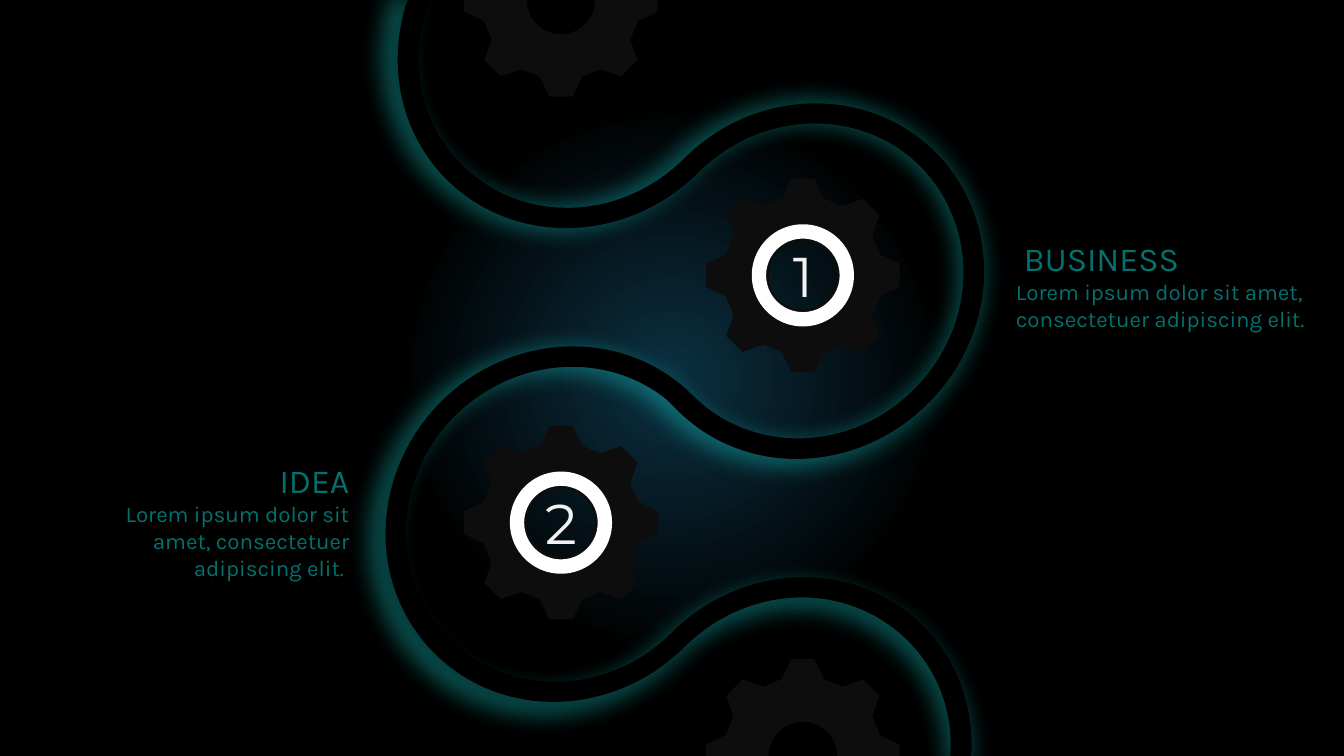
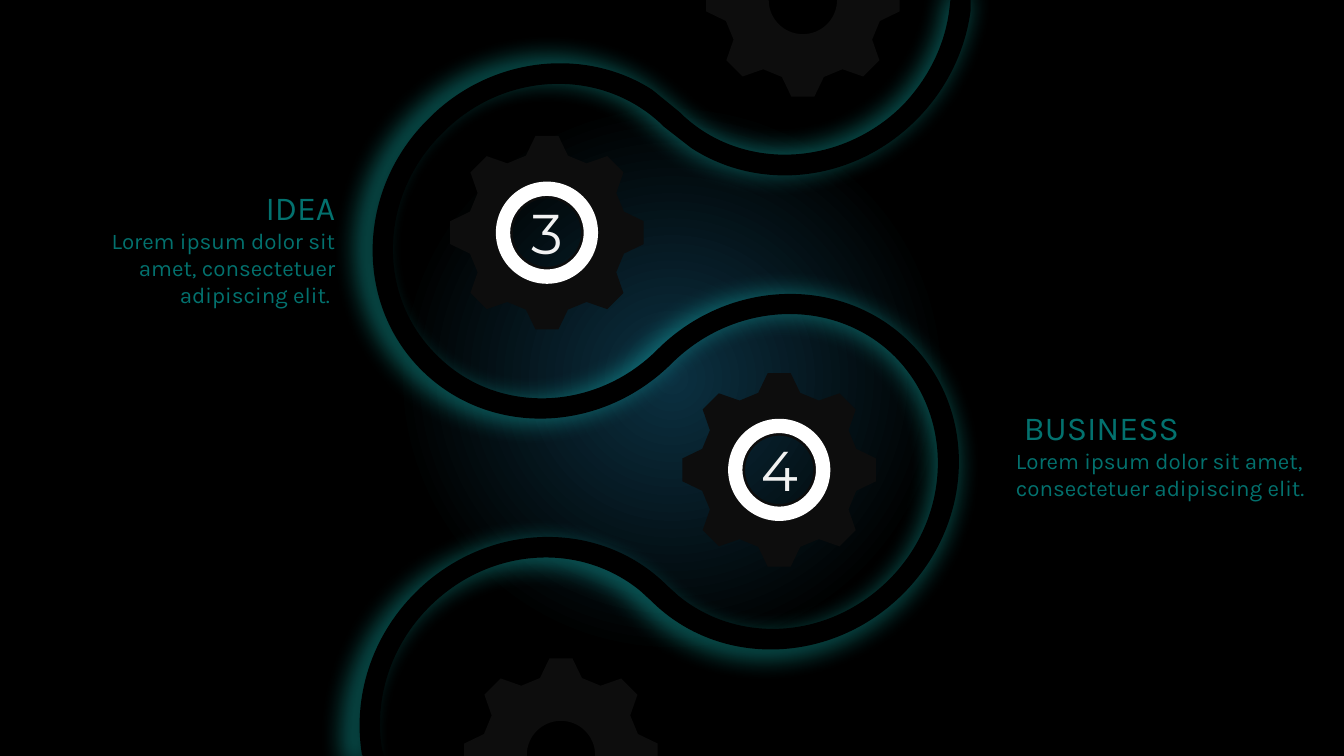
"""Build two dark slides with a glowing ribbon, gears and numbered steps."""
from math import cos, pi, sin

from lxml import etree
from pptx import Presentation
from pptx.dml.color import RGBColor
from pptx.enum import shapes, text
from pptx.oxml import ns
from pptx.util import Pt

COLOURS = {"glow": "1AFAF3", "deep": "0B3041", "dark": "000000", "gear": "0D0D0D",
           "ring": "FFFFFF", "number": "F2F2F2", "caption": "03716E"}
BODY = "Lorem ipsum dolor sit amet, consectetuer adipiscing elit."
GRID = 0.72
LEFT, RIGHT = 400.7, 573.5

RIBBON_DOWN = [
    (405, 0), (426, 0), (423, 10), (406, 63, 417, 123, 458, 163),
    (517, 223, 616, 220, 679, 157), (749, 87, 861, 84, 928, 151),
    (995, 218, 992, 329, 921, 400), (850, 471, 739, 474, 672, 407),
    (661, 396), (601, 348, 510, 354, 451, 413), (389, 475, 386, 574, 446, 633),
    (505, 693, 604, 690, 666, 628), (737, 557, 849, 554, 916, 621),
    (949, 654, 965, 699, 964, 744), (963, 750), (943, 750), (943, 745),
    (945, 705, 930, 665, 901, 636), (841, 576, 743, 579, 680, 641),
    (609, 712, 498, 715, 431, 648), (364, 581, 367, 470, 437, 399),
    (508, 328, 620, 325, 687, 392), (698, 402), (758, 451, 849, 445, 907, 386),
    (970, 323, 972, 225, 913, 165), (854, 106, 755, 109, 693, 171),
    (622, 242, 510, 245, 443, 178), (397, 132, 384, 65, 403, 4)]

RIBBON_UP = [
    (943, -1), (963, -1), (963, 10), (958, 49, 940, 88, 909, 119),
    (847, 181, 754, 191, 686, 147), (659, 126), (600, 67, 501, 69, 439, 132),
    (376, 194, 373, 293, 433, 352), (492, 412, 591, 409, 653, 346),
    (724, 276, 836, 273, 903, 340), (970, 407, 967, 518, 896, 589),
    (825, 660, 713, 663, 646, 596), (635, 586), (575, 537, 485, 543, 426, 602),
    (387, 641, 371, 694, 379, 743), (381, 750), (360, 750), (359, 748),
    (350, 692, 368, 632, 412, 588), (483, 517, 595, 514, 662, 581),
    (673, 591), (733, 640, 823, 634, 882, 575), (944, 513, 947, 414, 888, 354),
    (829, 295, 730, 298, 667, 360), (596, 431, 485, 434, 418, 367),
    (351, 300, 354, 188, 425, 118), (486, 56, 580, 46, 647, 89), (674, 111),
    (733, 170, 832, 167, 895, 105), (922, 77, 938, 43, 942, 8)]


def rotate(x, y, angle):
    """Rotate a point about the origin."""
    return x * cos(angle) - y * sin(angle), x * sin(angle) + y * cos(angle)


def change(contour, rule):
    """Apply a rule to every point of a contour."""
    return [sum((tuple(rule(*seg[i:i + 2])) for i in range(0, len(seg), 2)), ())
            for seg in contour]


def write(p, content, size=16, font="Karla", colour="caption", align="LEFT"):
    """Write one formatted run into a paragraph."""
    p.alignment = getattr(text.PP_ALIGN, align)
    r = p.add_run()
    r.text = content
    r.font.size, r.font.name = Pt(size), font
    r.font.color.rgb = RGBColor.from_string(COLOURS[colour])


class Deck:
    """Hold the shared style and the current slide."""

    def __init__(self):
        """Start a widescreen presentation."""
        self.prs = Presentation()
        self.prs.slide_width, self.prs.slide_height = Pt(960), Pt(540)

    def slide(self):
        """Add a slide with a round gradient background."""
        self.s = self.prs.slides.add_slide(self.prs.slide_layouts[6])
        fill = self.s.background.fill
        fill.gradient()
        for stop, position, colour in zip(fill.gradient_stops, (0, 0.36), ("deep", "dark")):
            stop.position = position
            stop.color.rgb = RGBColor.from_string(COLOURS[colour])
        grad = self.s.element.find(".//" + ns.qn("a:gradFill"))
        grad.remove(grad.find(ns.qn("a:lin")))
        circle = etree.SubElement(grad, ns.qn("a:path"), {"path": "circle"})
        etree.SubElement(circle, ns.qn("a:fillToRect"), dict.fromkeys("ltrb", "50000"))

    def paint(self, sp, colour):
        """Give a shape a plain fill without line or shadow."""
        sp.shadow.inherit = False
        sp.fill.solid()
        sp.fill.fore_color.rgb = RGBColor.from_string(COLOURS[colour])
        sp.line.fill.background()
        return sp

    def outline(self, contours, colour):
        """Draw closed contours of lines and cubic curves as one shape."""
        contours = [change(c, lambda x, y: (Pt(x), Pt(y))) for c in contours]
        builder = self.s.shapes.build_freeform(*contours[0][0])
        for k, (start, *segs) in enumerate(contours):
            if k:
                builder.move_to(*start)
            builder.add_line_segments(
                [seg[i:i + 2] for seg in segs for i in range(0, len(seg), 2)], close=True)
        sp = builder.convert_to_shape()
        nodes = iter(list(sp.element.iter(ns.qn("a:lnTo"))))
        for seg in (seg for c in contours for seg in c[1:]):
            node = next(nodes)
            if len(seg) == 6:
                node.tag = ns.qn("a:cubicBezTo")
                for other in (next(nodes), next(nodes)):
                    node.append(other[0])
                    other.getparent().remove(other)
        return self.paint(sp, colour)

    def ribbon(self, segments):
        """Draw the winding ribbon, turned by 45 degrees, with its glow."""
        turned = change(segments, lambda x, y: rotate(x * GRID, y * GRID, -pi / 4))
        sp = self.outline([turned], "dark")
        cx, cy = rotate(sp.left + sp.width / 2, sp.top + sp.height / 2, pi / 4)
        sp.left, sp.top = int(cx - sp.width / 2), int(cy - sp.height / 2)
        sp.rotation = 45
        effects = sp.element.spPr.find(ns.qn("a:effectLst"))
        glow = etree.SubElement(effects, ns.qn("a:outerShdw"), {
            "blurRad": str(Pt(18)), "sx": "102000", "sy": "102000",
            "algn": "ctr", "rotWithShape": "0"})
        colour = etree.SubElement(glow, ns.qn("a:srgbClr"), {"val": COLOURS["glow"]})
        etree.SubElement(colour, ns.qn("a:alpha"), {"val": "40000"})

    def gear(self, cx, cy):
        """Draw an eight-toothed gear with a round hole."""
        tooth = [(-15, -55), (-8.2, -69.1), (8.2, -69.1), (15, -55)]
        teeth = [rotate(x, y, k * pi / 4) for k in range(8) for x, y in tooth]
        r, c = 24.4, 13.5
        quarter = (r, -c, c, -r, 0, -r)
        hole = [(r, 0)] + [change([quarter], lambda x, y: rotate(x, y, -k * pi / 2))[0]
                           for k in range(4)]
        self.outline([change(part, lambda x, y: (cx + x, cy + y))
                      for part in (hole, teeth)], "gear")

    def textbox(self, x, y, w, h):
        """Add a wrapping text box and return its frame."""
        tf = self.s.shapes.add_textbox(Pt(x), Pt(y), Pt(w), Pt(h)).text_frame
        tf.word_wrap = True
        tf.auto_size = text.MSO_AUTO_SIZE.SHAPE_TO_FIT_TEXT
        return tf

    def step(self, number, cx, cy):
        """Draw a gear with a ring and a number."""
        self.gear(cx, cy)
        d, w, h = 73, 63.4, 55.4
        ring = self.s.shapes.add_shape(shapes.MSO_SHAPE.DONUT, Pt(cx - d / 2),
                                       Pt(cy - d / 2), Pt(d), Pt(d))
        ring.adjustments[0] = 0.14
        self.paint(ring, "ring")
        tf = self.textbox(cx - w / 2, cy - h / 2, w, h)
        write(tf.paragraphs[0], number, size=40, font="Montserrat",
              colour="number", align="CENTER")

    def caption(self, heading, body, x, y, w, align="LEFT"):
        """Write a heading with its description."""
        tf = self.textbox(x, y, w, 97.2)
        write(tf.paragraphs[0], heading, size=24, align=align)
        write(tf.add_paragraph(), body, align=align)

    def idea(self, x, y):
        """Write the caption on the left side."""
        self.caption("IDEA", BODY + " ", x, y, 211.7, align="RIGHT")

    def business(self, y):
        """Write the caption on the right side."""
        self.caption(" BUSINESS", BODY, 718.6, y, 241.2)


def main():
    """Build and save the slides."""
    deck = Deck()

    deck.slide()
    deck.ribbon(RIBBON_DOWN)
    deck.gear(LEFT, 0)
    deck.gear(RIGHT, 540)
    deck.step("1", RIGHT, 196.7)
    deck.step("2", LEFT, 373.3)
    deck.idea(44.9, 325)
    deck.business(166.3)

    deck.slide()
    deck.ribbon(RIBBON_UP)
    deck.gear(RIGHT, 0)
    deck.gear(LEFT, 539.3)
    deck.step("3", 390.7, 166.2)
    deck.step("4", 556.6, 335.6)
    deck.idea(34.9, 129.9)
    deck.business(287.3)

    deck.prs.save("out.pptx")


if __name__ == "__main__":
    main()
